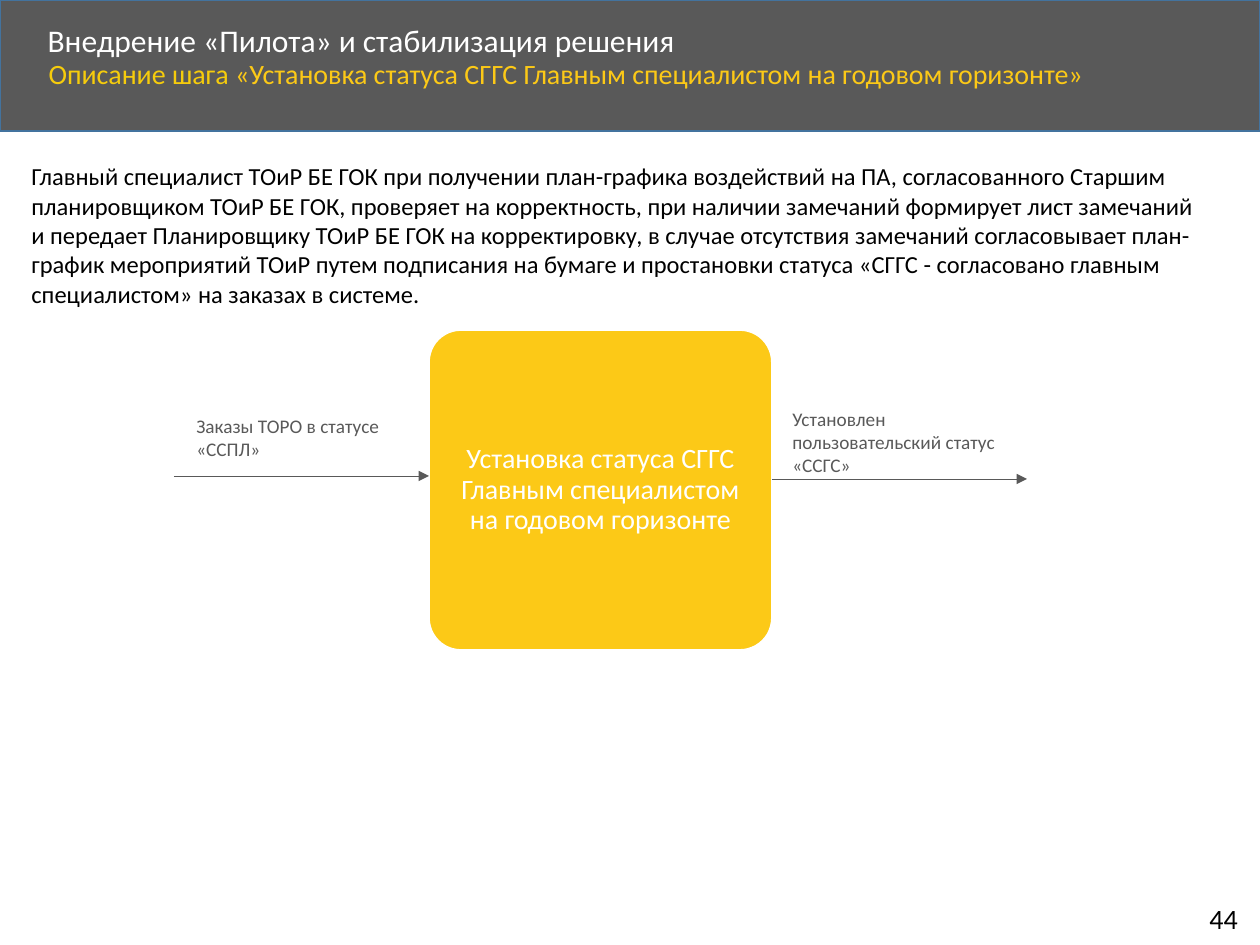
import pptx
import pptx.dml.color
import pptx.enum.shapes
import pptx.enum.text
import pptx.oxml.ns
import pptx.util
import lxml.etree

PX = 914400 / 126
GREY, GOLD, WHITE, BLACK = "595959", "FCC917", "FFFFFF", "000000"
ALIGN = pptx.enum.text.PP_ALIGN
ANCHOR = pptx.enum.text.MSO_ANCHOR
SHAPE = pptx.enum.shapes.MSO_SHAPE


def emu(*nums):
    """Turn px lengths into EMU."""
    return [pptx.util.Emu(round(n * PX)) for n in nums]


def color(code):
    """Make a colour from a hex string."""
    return pptx.dml.color.RGBColor.from_string(code)


def add(node, tag, **attrs):
    """Add a drawing element under a node."""
    return lxml.etree.SubElement(node, pptx.oxml.ns.qn(tag), **attrs)


def style(par, size, code, align=ALIGN.LEFT):
    """Set the font and alignment of a paragraph."""
    par.alignment = align
    par.font.name = "Calibri"
    par.font.size = pptx.util.Pt(size)
    par.font.color.rgb = color(code)


def label(slide, box, text, size, code, wrap=True):
    """Add a text box with one paragraph."""
    frame = slide.shapes.add_textbox(*emu(*box)).text_frame
    frame.word_wrap = wrap
    frame.text = text
    style(frame.paragraphs[0], size, code)


def block(slide, kind, box, fill, line):
    """Add a filled shape with a thin outline."""
    shape = slide.shapes.add_shape(kind, *emu(*box))
    shape.shadow.inherit = False
    shape.fill.solid()
    shape.fill.fore_color.rgb = color(fill)
    shape.line.color.rgb = color(line)
    shape.line.width = pptx.util.Pt(1)
    return shape


def arrow(slide, x, y, end):
    """Add a level arrow from x to end."""
    line = slide.shapes.add_connector(
        pptx.enum.shapes.MSO_CONNECTOR.STRAIGHT, *emu(x, y, end, y))
    line.line.color.rgb = color(GREY)
    line.line.width = pptx.util.Pt(0.5)
    add(line.line._get_or_add_ln(), "a:tailEnd", type="triangle")
    add(line._element.spPr, "a:effectLst")


def place(holder, box, text, size, code, anchor):
    """Move a placeholder and set its text."""
    holder.left, holder.top, holder.width, holder.height = emu(*box)
    frame = holder.text_frame
    frame.auto_size = pptx.enum.text.MSO_AUTO_SIZE.NONE
    frame.vertical_anchor = anchor
    frame.text = text
    par = frame.paragraphs[0]
    props = par._p.get_or_add_pPr()
    props.set("marL", "0")
    props.set("indent", "0")
    add(props, "a:buNone")
    par.line_spacing = 0.9
    par.space_before = pptx.util.Pt(0)
    style(par, size, code)


def header(slide, box):
    """Build the dark band with title and subtitle."""
    x, y, w, h = box
    band = block(slide, SHAPE.RECTANGLE, box, GREY, "43739E")
    slide.shapes._spTree.insert(2, band._element)
    title, body = slide.placeholders
    place(title, (x + 35, y + 18, 1017, 48),
          "Внедрение «Пилота» и стабилизация решения", 18, WHITE, ANCHOR.MIDDLE)
    place(body, (x + 36, y + 54, 1092, 57), "Описание шага ", 16, "F6CC0C", ANCHOR.TOP)
    run = body.text_frame.paragraphs[0].add_run()
    run.text = "«Установка статуса СГГС Главным специалистом на годовом горизонте»"
    run.font.color.rgb = color(GOLD)


def flow(slide, box):
    """Build the step card with its input and output."""
    x, y, w, h = box
    reach = 255
    card = block(slide, SHAPE.ROUNDED_RECTANGLE,
                 (x + reach, y, w - 2 * reach, h), GOLD, WHITE)
    card.adjustments[0] = 0.1
    frame = card.text_frame
    frame.word_wrap = True
    frame.vertical_anchor = ANCHOR.MIDDLE
    frame.margin_left, frame.margin_right = emu(9, 9)
    frame.text = "Установка статуса СГГС Главным специалистом на годовом горизонте"
    par = frame.paragraphs[0]
    par.line_spacing = 0.9
    style(par, 16, WHITE, ALIGN.CENTER)
    arrow(slide, x, y + 146, x + reach)
    arrow(slide, x + w - reach, y + 149, x + w)
    label(slide, (x + 10, y + 78, 252, 59), "Заказы ТОРО в статусе «ССПЛ»", 11, GREY)
    label(slide, (x + w - reach + 8, y + 71, 252, 83),
          "Установлен пользовательский статус «ССГС»", 11, GREY)


def main():
    """Build and save the slide."""
    deck = pptx.Presentation()
    deck.slide_width, deck.slide_height = emu(1260, 945)
    slide = deck.slides.add_slide(deck.slide_layouts[1])
    header(slide, (0, 0, 1260, 131))
    flow(slide, (174, 330, 853, 320))
    label(slide, (19, 155, 1192, 161),
          "Главный специалист ТОиР БЕ ГОК при получении план-графика воздействий на ПА, "
          "согласованного Старшим планировщиком ТОиР БЕ ГОК, проверяет на корректность, "
          "при наличии замечаний формирует лист замечаний и передает Планировщику ТОиР БЕ ГОК "
          "на корректировку, в случае отсутствия замечаний согласовывает план-график "
          "мероприятий ТОиР путем подписания на бумаге и простановки статуса "
          "«СГГС - согласовано главным специалистом» на заказах в системе.", 14, BLACK)
    label(slide, (1197, 895, 58, 47), "44", 16, BLACK, False)
    deck.save("out.pptx")


if __name__ == "__main__":
    main()
